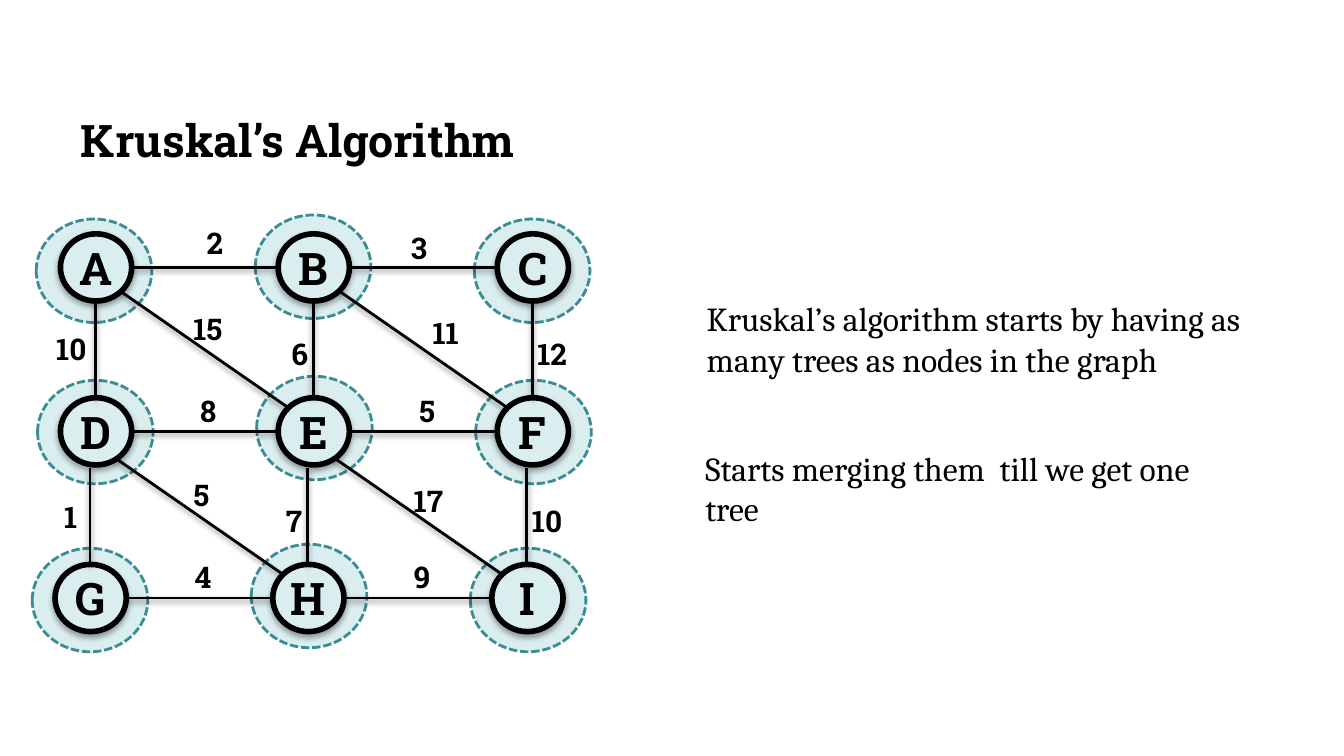
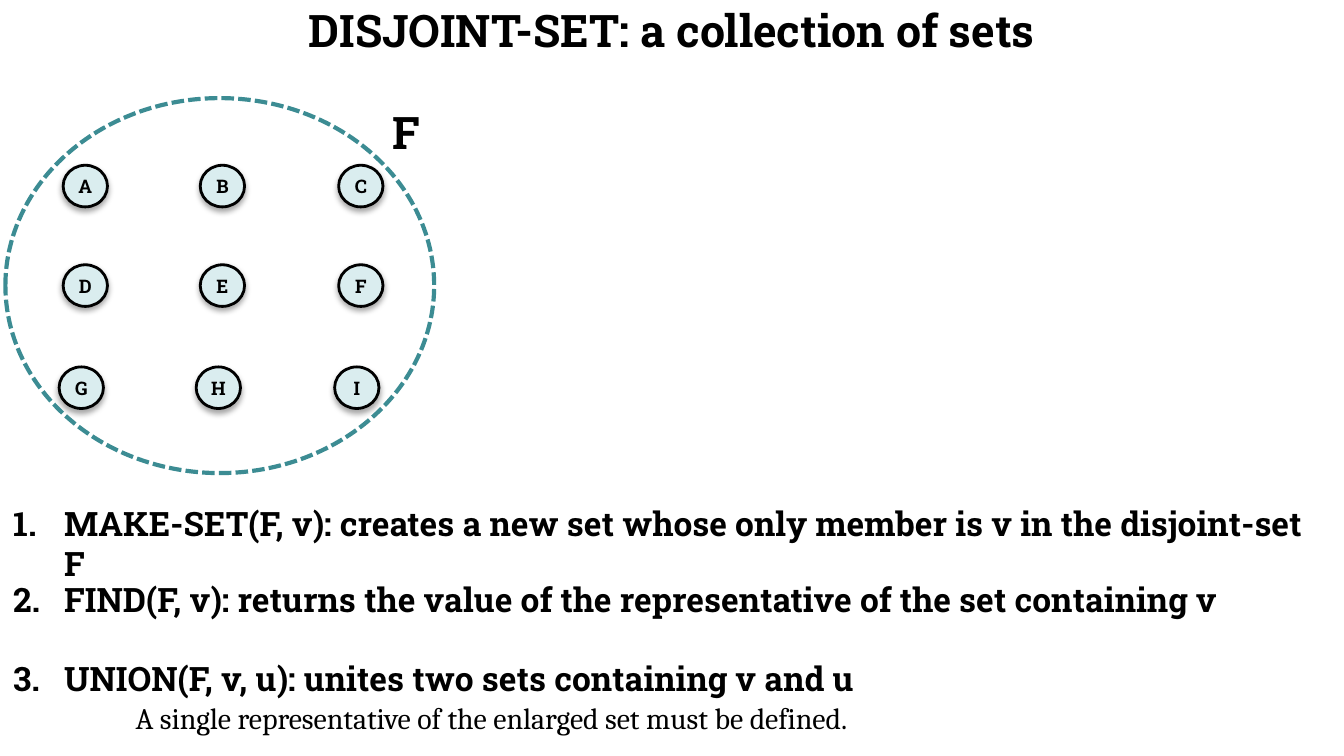
from dataclasses import dataclass
from itertools import product

from lxml.etree import SubElement
from pptx import Presentation
from pptx.dml.color import RGBColor
from pptx.enum.dml import MSO_LINE
from pptx.enum.shapes import MSO_CONNECTOR, MSO_SHAPE
from pptx.enum.text import MSO_ANCHOR, MSO_AUTO_SIZE, PP_ALIGN
from pptx.oxml.ns import qn
from pptx.util import Inches, Pt

# Shared style
BLACK, PALE, TEAL = "000000", "DAEDEF", "3C8C93"
SLAB, SERIF = "Roboto Slab", "Cambria"
NODE_NAMES = "ABCDEFGHI"


@dataclass(frozen=True)
class Text:
    """A text box: place, wording and font."""
    left: float
    top: float
    width: float
    height: float
    wording: str
    size: float = 16
    font: str = SLAB
    bold: bool = True
    centred: bool = False
    wrap: bool = True


@dataclass(frozen=True)
class NodeGrid:
    """Three rows of three nodes; the last row is shifted sideways."""
    lefts: tuple[float, ...]
    tops: tuple[float, ...]
    last_row_shift: float
    width: float
    height: float
    outline: float
    text_size: float

    def corner(self, name: str) -> tuple[float, float]:
        row, column = divmod(NODE_NAMES.index(name), 3)
        shift = self.last_row_shift if row == 2 else 0
        return self.lefts[column] + shift, self.tops[row]


@dataclass(frozen=True)
class EdgeKind:
    """Where an edge meets its target node, and how far back it starts."""
    end_x: float
    end_y: float
    run: float
    rise: float


@dataclass(frozen=True)
class Edge:
    kind: EdgeKind
    target: str
    weight: int
    label_left: float
    label_top: float


def colour(value: str) -> RGBColor:
    return RGBColor.from_string(value)


def add_shadow(item, opacity: int, distance: float) -> None:
    properties = item._element.spPr
    effects = SubElement(properties, qn("a:effectLst"))
    shadow = SubElement(effects, qn("a:outerShdw"), blurRad=str(Pt(3.1)),
                        dist=str(Pt(distance)), dir="5400000", rotWithShape="0")
    shade = SubElement(shadow, qn("a:srgbClr"), val=BLACK)
    SubElement(shade, qn("a:alpha"), val=str(opacity * 1000))


def style_paragraph(paragraph, size: float, font: str, bold: bool, centred: bool) -> None:
    paragraph.alignment = PP_ALIGN.CENTER if centred else PP_ALIGN.LEFT
    for run in paragraph.runs:
        run.font.size = Pt(size)
        run.font.name = font
        run.font.bold = bold
        run.font.color.rgb = colour(BLACK)


def add_text(slide, text: Text):
    box = slide.shapes.add_textbox(Inches(text.left), Inches(text.top),
                                   Inches(text.width), Inches(text.height))
    frame = box.text_frame
    frame.word_wrap = text.wrap
    frame.auto_size = MSO_AUTO_SIZE.SHAPE_TO_FIT_TEXT
    frame.text = text.wording
    style_paragraph(frame.paragraphs[0], text.size, text.font, text.bold, text.centred)
    return box


def add_title(slide, left: float, top: float, width: float, wording: str) -> None:
    add_text(slide, Text(left, top, width, 0.5, wording, 24, centred=True))


def add_numbered(slide, number: int, top: float, height: float, wording: str) -> None:
    box = add_text(slide, Text(0, top, 10, height, wording, 18))
    properties = box.text_frame.paragraphs[0]._p.get_or_add_pPr()
    properties.set("marL", str(Inches(0.38)))
    properties.set("indent", str(-Inches(0.38)))
    SubElement(properties, qn("a:buFont"), typeface="+mj-lt")
    SubElement(properties, qn("a:buAutoNum"), type="arabicPeriod", startAt=str(number))


def add_ellipse(slide, left: float, top: float, width: float, height: float,
                fill: str | None, line: str, weight: float):
    shape = slide.shapes.add_shape(MSO_SHAPE.OVAL, Inches(left), Inches(top),
                                   Inches(width), Inches(height))
    if fill:
        shape.fill.solid()
        shape.fill.fore_color.rgb = colour(fill)
    else:
        shape.fill.background()
    shape.line.color.rgb = colour(line)
    shape.line.width = Pt(weight)
    return shape


def add_set_outline(slide, left: float, top: float, width: float, height: float,
                    fill: str | None, weight: float) -> None:
    shape = add_ellipse(slide, left, top, width, height, fill, TEAL, weight)
    shape.shadow.inherit = False
    shape.line.dash_style = MSO_LINE.SQUARE_DOT


def add_nodes(slide, grid: NodeGrid) -> None:
    for name in NODE_NAMES:
        shape = add_ellipse(slide, *grid.corner(name), grid.width, grid.height,
                            PALE, BLACK, grid.outline)
        add_shadow(shape, 35, 1.8)
        frame = shape.text_frame
        frame.margin_left = frame.margin_right = Inches(0.04)
        frame.margin_top = frame.margin_bottom = Inches(0.05)
        frame.vertical_anchor = MSO_ANCHOR.MIDDLE
        frame.text = name
        style_paragraph(frame.paragraphs[0], grid.text_size, SLAB, True, True)


def add_edge(slide, grid: NodeGrid, edge: Edge) -> None:
    left, top = grid.corner(edge.target)
    end_x, end_y = left + edge.kind.end_x, top + edge.kind.end_y
    line = slide.shapes.add_connector(
        MSO_CONNECTOR.STRAIGHT, Inches(end_x - edge.kind.run),
        Inches(end_y - edge.kind.rise), Inches(end_x), Inches(end_y))
    line.line.color.rgb = colour(BLACK)
    line.line.width = Pt(1.5)
    add_shadow(line, 38, 1.6)


def add_weight(slide, edge: Edge) -> None:
    width = 0.44 if edge.weight > 9 else 0.34
    add_text(slide, Text(edge.label_left, edge.label_top, width, 0.37,
                         str(edge.weight), wrap=False))


# A 16:9 page
presentation = Presentation()
presentation.slide_width = Inches(10)
presentation.slide_height = Inches(10 * 9 / 16)
blank_layout = presentation.slide_layouts[6]

# Slide 1: weighted graph, every node a tree of its own
ACROSS = EdgeKind(0, 0.25, 1.09, 0)
DOWN = EdgeKind(0.26, 0, 0, 0.72)
DIAGONAL = EdgeKind(0.07, 0.07, 1.24, 0.86)
EDGES = [
    Edge(ACROSS, "B", 2, 1.44, 1.62),
    Edge(ACROSS, "C", 3, 2.96, 1.66),
    Edge(ACROSS, "E", 8, 1.39, 2.87),
    Edge(ACROSS, "F", 5, 3.02, 2.87),
    Edge(ACROSS, "H", 4, 1.35, 4.11),
    Edge(ACROSS, "I", 9, 2.98, 4.11),
    Edge(DOWN, "D", 10, 0.32, 2.41),
    Edge(DOWN, "E", 6, 2.07, 2.45),
    Edge(DOWN, "F", 12, 3.9, 2.45),
    Edge(DOWN, "G", 1, 0.38, 3.66),
    Edge(DOWN, "H", 7, 2.03, 3.69),
    Edge(DOWN, "I", 10, 3.86, 3.69),
    Edge(DIAGONAL, "E", 15, 1.34, 2.26),
    Edge(DIAGONAL, "F", 11, 3.12, 2.29),
    Edge(DIAGONAL, "H", 5, 1.34, 3.5),
    Edge(DIAGONAL, "I", 17, 2.98, 3.54),
]
graph = NodeGrid((0.45, 2.07, 3.7), (1.74, 2.96, 4.2), -0.04, 0.53, 0.5, 3, 24)
HALO_LEFTS, HALO_TOPS = (0.27, 0.28, 0.24), (1.63, 2.83, 4.08)

slide = presentation.slides.add_slide(blank_layout)
add_title(slide, 0.39, 0.79, 3.65, "Kruskal’s Algorithm")
for row, column in product(range(3), repeat=2):
    raised = 0.03 if column == 1 else 0
    add_set_outline(slide, HALO_LEFTS[row] + 1.63 * column, HALO_TOPS[row] - raised,
                    0.86, 0.77, PALE, 1.5)
add_nodes(slide, graph)
for edge in EDGES:
    add_edge(slide, graph, edge)
for edge in EDGES:
    add_weight(slide, edge)
add_text(slide, Text(5.16, 2.17, 4.38, 0.71,
                     "Kruskal’s algorithm starts by having as many trees as nodes in the graph",
                     18, SERIF, False))
add_text(slide, Text(5.15, 3.28, 4.2, 0.71, "Starts merging them  till we get one tree",
                     18, SERIF, False))

# Slide 2: the disjoint set and its operations
collection = NodeGrid((0.47, 1.49, 2.52), (1.23, 1.97, 2.73), -0.03, 0.33, 0.31, 1.5, 10)
OPERATIONS = [
    (3.69, 0.71, "MAKE-SET(F, v): creates a new set whose only member is v in the disjoint-set F"),
    (4.26, 0.4, "FIND(F, v): returns the value of the representative of the set containing v"),
    (4.85, 0.4, "UNION(F, v, u): unites two sets containing v and u"),
]

slide = presentation.slides.add_slide(blank_layout)
add_title(slide, 0, -0.03, 10, "DISJOINT-SET: a collection of sets")
add_nodes(slide, collection)
add_set_outline(slide, 0.04, 0.73, 3.19, 2.79, None, 2.25)
add_text(slide, Text(2.82, 0.73, 0.41, 0.5, "F", 24, wrap=False))
for number, (top, height, wording) in enumerate(OPERATIONS, 1):
    add_numbered(slide, number, top, height, wording)
add_text(slide, Text(0.91, 5.16, 5.52, 0.37,
                     "A single representative of the enlarged set must be defined.",
                     16, SERIF, False, wrap=False))

presentation.save("out.pptx")
